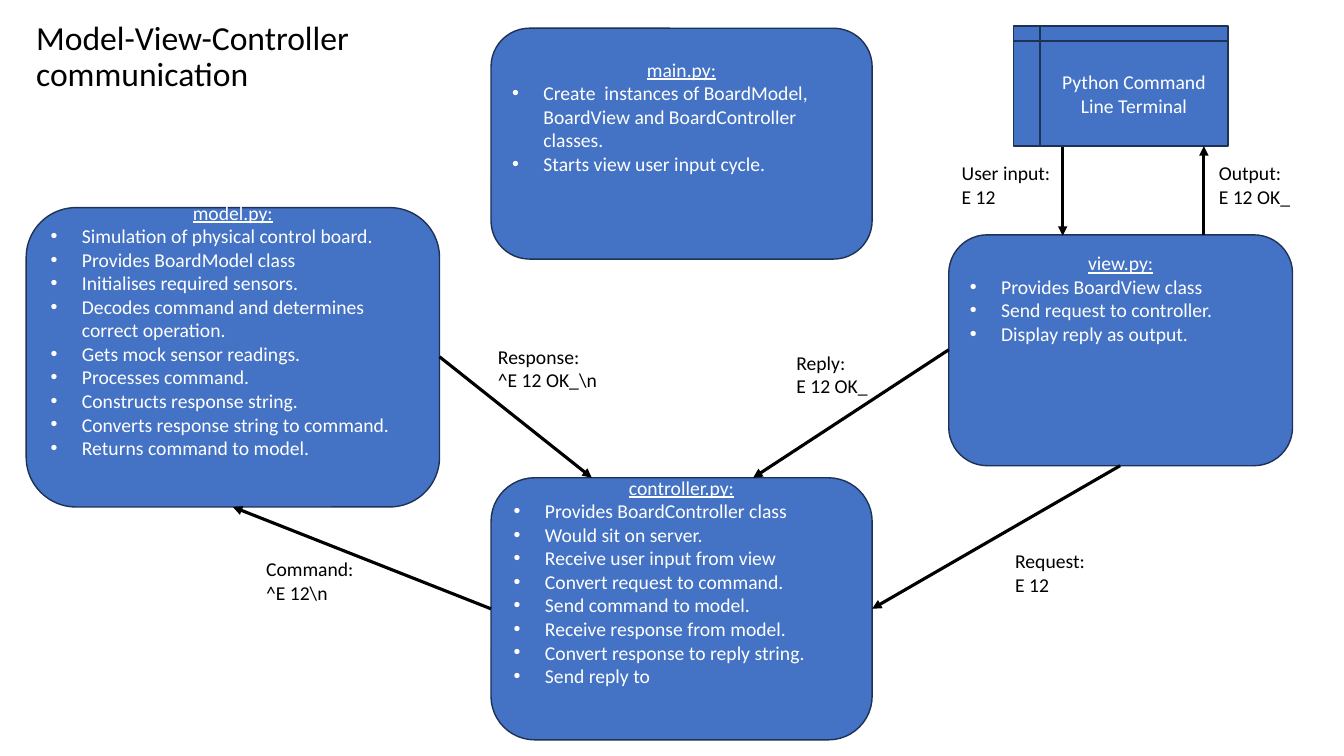
from pptx import Presentation
from pptx import util as u
from pptx.dml import color
from pptx.enum import shapes, text
from pptx.oxml import xmlchemy
from pptx.oxml import ns
from lxml import etree

BLUE, EDGE, WHITE, BLACK = "4472C4", "1E3256", "FFFFFF", "000000"
ROUND = shapes.MSO_SHAPE.ROUNDED_RECTANGLE
STORE = shapes.MSO_SHAPE.FLOWCHART_INTERNAL_STORAGE
MID, TOP = text.MSO_ANCHOR.MIDDLE, text.MSO_ANCHOR.TOP

MODULES = [
    ("model.py:", (0.26, 2.06, 4.1, 2.97), MID, [
        "Simulation of physical control board.",
        "Provides BoardModel class",
        "Initialises required sensors.",
        "Decodes command and determines correct operation.",
        "Gets mock sensor readings.",
        "Processes command.",
        "Constructs response string.",
        "Converts response string to command.",
        "Returns command to model."]),
    ("controller.py:", (4.87, 4.74, 3.78, 2.6), MID, [
        "Provides BoardController class",
        "Would sit on server.",
        "Receive user input from view",
        "Convert request to command.",
        "Send command to model.",
        "Receive response from model.",
        "Convert response to reply string.",
        "Send reply to"]),
    ("view.py:", (9.41, 2.33, 3.41, 2.29), TOP, [
        "Provides BoardView class",
        "Send request to controller.",
        "Display reply as output."]),
    ("main.py:", (4.87, 0.28, 3.78, 2.29), MID, [
        "Create  instances of BoardModel, BoardView and BoardController classes.",
        "Starts view user input cycle."]),
]

LABELS = [
    (9.97, 5.4, 1.38, "Request:", "E 12"),
    (2.54, 5.48, 1.38, "Command:", "^E 12\\n"),
    (4.84, 3.37, 1.38, "Response:", "^E 12 OK_\\n"),
    (7.8, 3.43, 1.38, "Reply:", "E 12 OK_"),
    (9.44, 1.55, 1.38, "User input:", "E 12"),
    (11.99, 1.55, 1.03, "Output:", "E 12 OK_"),
]

ARROWS = [
    (11.11, 4.62, 8.65, 6.04),
    (4.87, 6.04, 2.31, 5.03),
    (10.54, 1.46, 10.54, 2.34),
    (9.41, 3.47, 7.47, 4.74),
    (4.36, 3.54, 5.87, 4.74),
    (11.94, 2.33, 11.94, 1.45),
]


def inches(*sizes):
    return [u.Inches(size) for size in sizes]


def paint(target, shade):
    target.rgb = color.RGBColor.from_string(shade)


def write(para, words, shade, size=14, under=False):
    run = para.add_run()
    run.text = words
    run.font.name = "Calibri"
    run.font.size = u.Pt(size)
    run.font.underline = under
    paint(run.font.color, shade)


def add_bullet(para):
    props = para._p.get_or_add_pPr()
    props.set("marL", str(u.Inches(0.31)))
    props.set("indent", str(u.Inches(-0.31)))
    font = etree.SubElement(props, ns.qn("a:buFont"))
    font.set("typeface", "Arial")
    etree.SubElement(props, ns.qn("a:buChar")).set("char", "•")


def add_block(slide, kind, box, head, anchor=MID, under=False):
    block = slide.shapes.add_shape(kind, *inches(*box))
    block.shadow.inherit = False
    block.fill.solid()
    paint(block.fill.fore_color, BLUE)
    paint(block.line.color, EDGE)
    block.line.width = u.Pt(1)
    frame = block.text_frame
    frame.word_wrap = True
    frame.vertical_anchor = anchor
    para = frame.paragraphs[0]
    para.alignment = text.PP_ALIGN.CENTER
    write(para, head, WHITE, under=under)
    return frame


def add_module(slide, head, box, anchor, items):
    frame = add_block(slide, ROUND, box, head, anchor, True)
    if anchor == MID:
        frame.margin_top, frame.margin_bottom = inches(0, 0.54)
    for item in items:
        para = frame.add_paragraph()
        para.alignment = text.PP_ALIGN.LEFT
        add_bullet(para)
        write(para, item, WHITE)


def add_text(slide, box, lines, size=14):
    frame = slide.shapes.add_textbox(*inches(*box)).text_frame
    frame.word_wrap = True
    for index, line in enumerate(lines):
        para = frame.add_paragraph() if index else frame.paragraphs[0]
        write(para, line, BLACK, size)
    return frame


def add_arrow(slide, ends):
    arrow = slide.shapes.add_connector(shapes.MSO_CONNECTOR.STRAIGHT, *inches(*ends))
    paint(arrow.line.color, BLACK)
    arrow.line.width = u.Pt(2.25)
    props = arrow._element.spPr
    tip = etree.SubElement(props.find(ns.qn("a:ln")), ns.qn("a:tailEnd"))
    tip.set("type", "triangle")
    etree.SubElement(props, ns.qn("a:effectLst"))


def main():
    deck = Presentation()
    deck.slide_width, deck.slide_height = inches(13.33, 7.5)
    slide = deck.slides.add_slide(deck.slide_layouts[6])
    title = add_text(slide, (0.26, 0.19, 3.95, 0.77),
                     ["Model-View-Controller communication"], 24)
    title.vertical_anchor = MID
    title.paragraphs[0].line_spacing = 0.9
    for module in MODULES:
        add_module(slide, *module)
    add_block(slide, STORE, (10.05, 0.26, 2.13, 1.19), "Python Command Line Terminal")
    for left, top, width, *lines in LABELS:
        add_text(slide, (left, top, width, 0.57), lines)
    for ends in ARROWS:
        add_arrow(slide, ends)
    deck.save("out.pptx")


if __name__ == "__main__":
    main()
